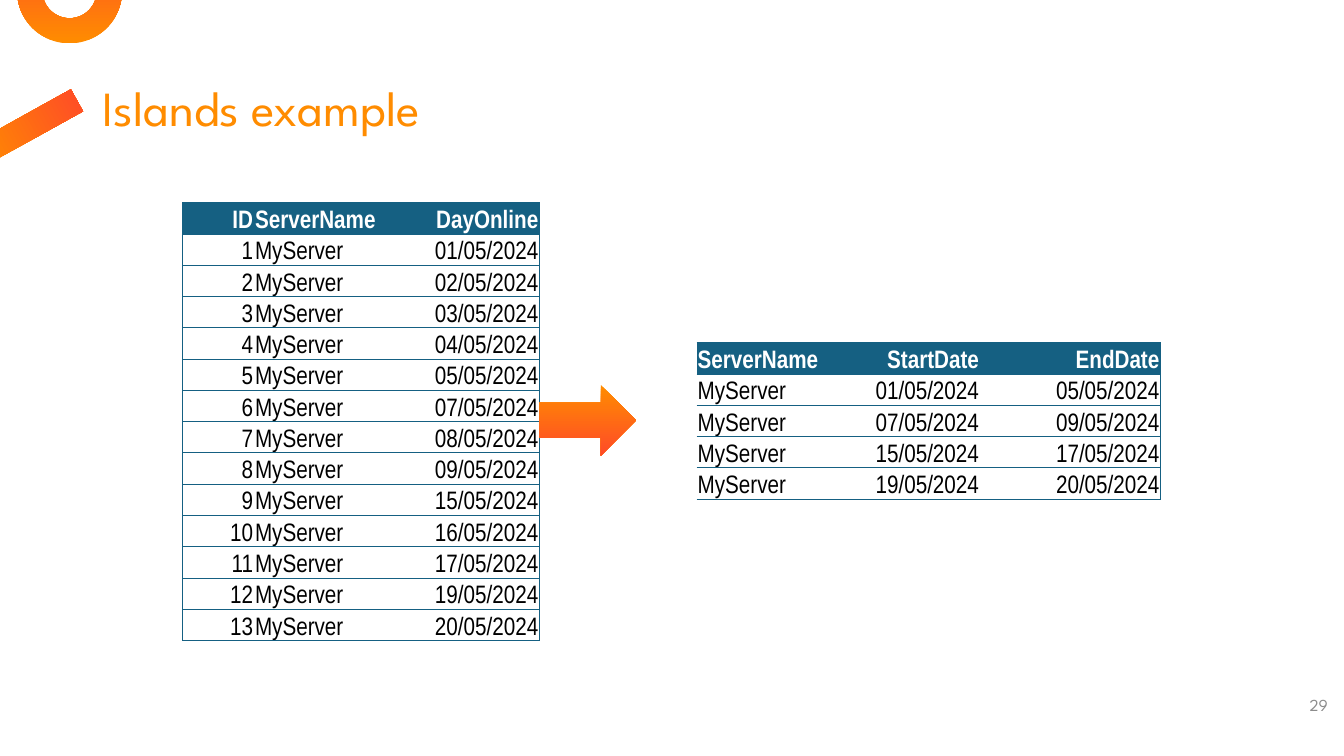
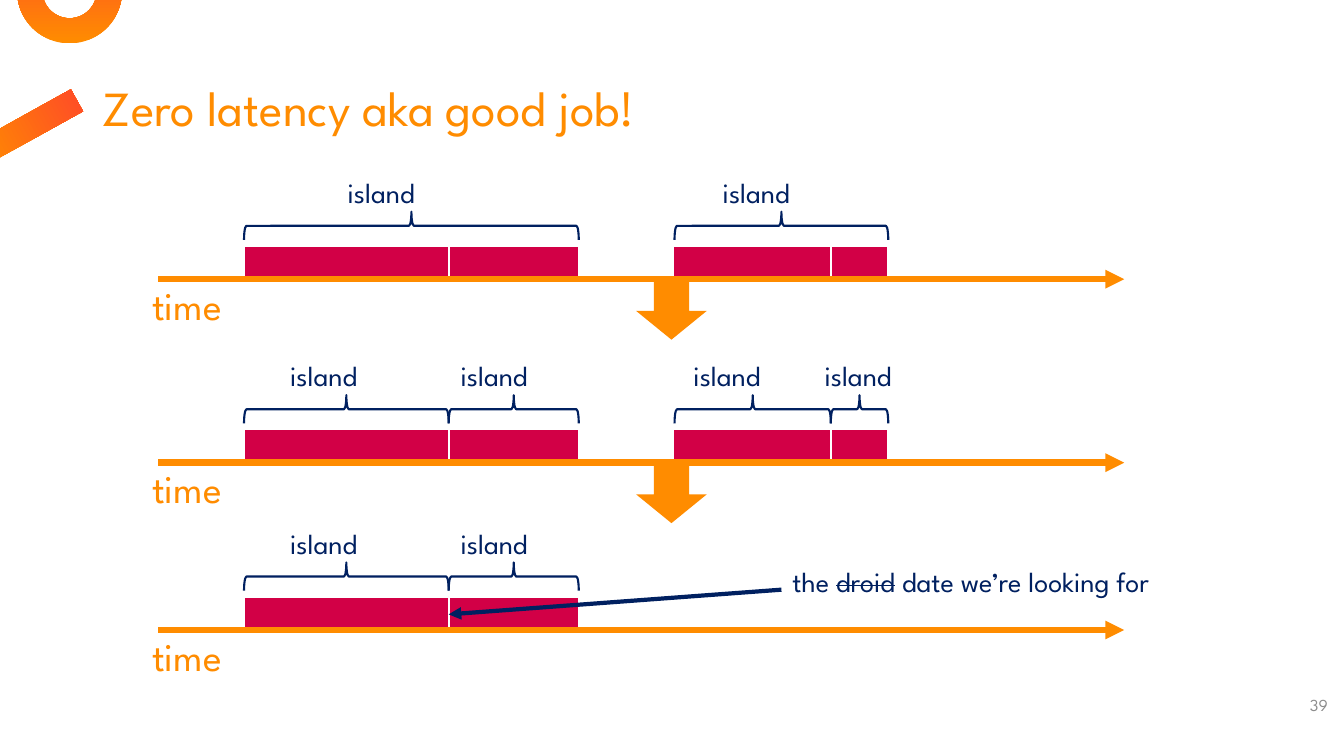
"""Build two slides about islands of dates: a table example and a timeline."""
from dataclasses import dataclass
from itertools import pairwise

from lxml.etree import SubElement as Sub
from pptx import Presentation as Deck
from pptx.dml.color import RGBColor as Rgb
from pptx.enum.shapes import MSO_CONNECTOR as Link, MSO_SHAPE as Form
from pptx.enum.text import MSO_ANCHOR as Anchor, PP_ALIGN as Align
from pptx.oxml.ns import qn
from pptx.util import Inches, Pt


@dataclass(frozen=True)
class Theme:
    """Hold the colours, fonts and type sizes."""
    orange: str = "FF8C00"
    red: str = "FF4B28"
    crimson: str = "D20046"
    navy: str = "002060"
    teal: str = "156082"
    gray: str = "8C8C8C"
    white: str = "FFFFFF"
    black: str = "000000"
    font: str = "League Spartan"
    narrow: str = "Arial Narrow"
    title: int = 35
    axis: int = 28
    label: int = 20
    grid: int = 18
    page: int = 12


def write(frame, text, *, size, color, font=Theme.font, bold=False,
          align=Align.LEFT, anchor=Anchor.TOP, space=None):
    """Fill a frame with a string, or with (string, struck) runs."""
    frame.word_wrap = True
    frame.vertical_anchor = anchor
    para = frame.paragraphs[0]
    para.alignment = align
    para.line_spacing = space
    for part, struck in [(text, False)] if isinstance(text, str) else text:
        run = para.add_run()
        run.text = part
        run.font.name, run.font.size, run.font.bold = font, Pt(size), bold
        run.font.color.rgb = Rgb.from_string(color)
        if struck:
            run._r.get_or_add_rPr().set("strike", "sngStrike")


class Board:
    """Draw styled elements on the current slide."""

    def __init__(self, theme):
        self.theme = theme
        self.deck = Deck()
        self.deck.slide_width, self.deck.slide_height = Inches(13.33), Inches(7.5)
        self.slide = None

    def start(self, title, page):
        """Add a slide with its corner shapes, title and number."""
        look = self.theme
        self.slide = self.deck.slides.add_slide(self.deck.slide_layouts[6])
        ring = self.shape(Form.DONUT, 0.17, -0.61, 1.04, 1.04, angle=90)
        ring.adjustments[0] = 0.24
        self.shape(Form.RECTANGLE, 0.17, 0.72, 0.25, 1.07, angle=90).rotation = 61
        self.text(title, 0.92, 0.53, 11.5, 0.88, size=look.title,
                  color=look.orange, anchor=Anchor.BOTTOM, space=0.9)
        box = self.text(page, 11.51, 6.79, 1.66, 0.4, size=look.page,
                        color=look.gray, align=Align.RIGHT, anchor=Anchor.MIDDLE)
        box.text_frame.margin_right = 0

    def text(self, text, x, y, w, h, **form):
        """Add a text box."""
        box = self.slide.shapes.add_textbox(*map(Inches, (x, y, w, h)))
        write(box.text_frame, text, **form)
        return box

    def shape(self, kind, x, y, w, h, fill=None, line=None, angle=None):
        """Add a preset shape, with a gradient if an angle is given."""
        item = self.slide.shapes.add_shape(kind, *map(Inches, (x, y, w, h)))
        item.shadow.inherit = False
        if angle is not None:
            item.fill.gradient()
            item.fill.gradient_angle = angle
            for stop, tone in zip(item.fill.gradient_stops,
                                  (self.theme.orange, self.theme.red)):
                stop.color.rgb = Rgb.from_string(tone)
        elif fill:
            item.fill.solid()
            item.fill.fore_color.rgb = Rgb.from_string(fill)
        else:
            item.fill.background()
        if line:
            item.line.color.rgb = Rgb.from_string(line)
            item.line.width = Pt(1.5)
        else:
            item.line.fill.background()
        return item

    def brace(self, left, right, mid):
        """Add a brace that lies over a span."""
        deep, span = 0.28, right - left
        item = self.shape(Form.LEFT_BRACE, (left + right - deep) / 2,
                          mid - span / 2, deep, span, line=self.theme.navy)
        item.rotation = 90

    def arrow(self, start, end, color, width):
        """Add a straight line with an arrowhead at its end."""
        item = self.slide.shapes.add_connector(
            Link.STRAIGHT, *map(Inches, (*start, *end)))
        item.line.color.rgb = Rgb.from_string(color)
        item.line.width = Pt(width)
        Sub(item.line._get_or_add_ln(), qn("a:tailEnd"), type="triangle")
        Sub(item._element.spPr, qn("a:effectLst"))
        return item

    def edge(self, cell, side, shown):
        """Rule or clear one side of a cell."""
        line = Sub(cell._tc.get_or_add_tcPr(), qn(f"a:ln{side}"), w=str(Pt(0.5)))
        if shown:
            fill = Sub(line, qn("a:solidFill"))
            Sub(fill, qn("a:srgbClr"), val=self.theme.teal)
        else:
            Sub(line, qn("a:noFill"))

    def table(self, rows, x, y, h, cols, aligns, closed):
        """Add a ruled table; closed draws its left side too."""
        look = self.theme
        grid = self.slide.shapes.add_table(
            len(rows), len(cols), *map(Inches, (x, y, sum(cols), h))).table
        grid.first_row = grid.horz_banding = False
        for col, wide in zip(grid.columns, cols):
            col.width = Inches(wide)
        for r, row in enumerate(rows):
            head = r == 0
            for c, value in enumerate(row):
                cell = grid.cell(r, c)
                cell.margin_left = cell.margin_right = cell.margin_top = Inches(0.01)
                cell.margin_bottom = 0
                sides = {"L": closed and c == 0, "R": c == len(cols) - 1,
                         "T": True, "B": True}
                for side, shown in sides.items():
                    self.edge(cell, side, shown)
                if head:
                    cell.fill.solid()
                    cell.fill.fore_color.rgb = Rgb.from_string(look.teal)
                else:
                    cell.fill.background()
                write(cell.text_frame, value, size=look.grid, font=look.narrow,
                      color=look.white if head else look.black,
                      bold=head, align=aligns[c])
                cell.vertical_anchor = Anchor.BOTTOM

    def row(self, top, groups, islands):
        """Add bars with braces and labels above; return the bars."""
        look = self.theme
        bars = [self.shape(Form.RECTANGLE, left, top, right - left, 0.35,
                           fill=look.crimson, line=look.white)
                for edges in groups for left, right in pairwise(edges)]
        for left, right, x in islands:
            self.text("island", x, top - 0.75, 1.46, 0.44,
                      size=look.label, color=look.navy)
            self.brace(left, right, top - 0.2)
        return bars

    def axis(self, top):
        """Add the time arrow under a row of bars."""
        look = self.theme
        y = top + 0.33
        self.arrow((1.57, y), (11.15, y), look.orange, 4.5)
        self.text("time", 1.41, top + 0.3, 1.14, 0.57,
                  size=look.axis, color=look.orange)


def days(board):
    """Build the table example."""
    board.start("Islands example", "29")
    spans = [(1, 5), (7, 9), (15, 17), (19, 20)]
    date = "{:02d}/05/2024".format
    online = [day for first, last in spans for day in range(first, last + 1)]
    left, right = Align.LEFT, Align.RIGHT
    source = [("ID", "ServerName", "DayOnline")]
    source += [(str(n), "MyServer", date(day)) for n, day in enumerate(online, 1)]
    board.table(source, 1.81, 2.01, 4.25, (0.71, 1.53, 1.3),
                (right, left, right), True)
    board.shape(Form.RIGHT_ARROW, 5.35, 3.82, 0.96, 0.7, angle=270)
    result = [("ServerName", "StartDate", "EndDate")]
    result += [("MyServer", date(first), date(last)) for first, last in spans]
    board.table(result, 6.91, 3.4, 1.52, (1.41, 1.4, 1.79),
                (left, right, right), False)


def times(board):
    """Build the timeline."""
    look = board.theme
    board.start("Zero latency aka good job!", "39")
    early, late = (2.42, 4.45, 5.74), (6.67, 8.24, 8.81)
    whole = [(2.42, 5.74, 3.35), (6.69, 8.81, 7.07)]
    first = [(2.42, 4.45, 2.78), (4.45, 5.74, 4.47)]
    second = [(6.69, 8.24, 6.78), (8.24, 8.81, 8.08)]
    rows = [(2.44, (early, late), whole),
            (4.26, (early, late), first + second),
            (5.92, (early,), first)]
    for row in rows:
        bars = board.row(*row)
    for top, _, _ in rows[:-1]:
        board.shape(Form.DOWN_ARROW, 6.31, top + 0.36, 0.7, 0.57, fill=look.orange)
    board.arrow((7.75, 5.85), (4.45, 6.09), look.navy, 3).end_connect(bars[1], 1)
    board.text([("the ", False), ("droid", True), (" date we’re looking for", False)],
               7.76, 5.55, 5.25, 0.44, size=look.label, color=look.navy)
    for top, _, _ in rows:
        board.axis(top)


def main():
    """Build and save the slides."""
    board = Board(Theme())
    days(board)
    times(board)
    board.deck.save("out.pptx")


if __name__ == "__main__":
    main()
